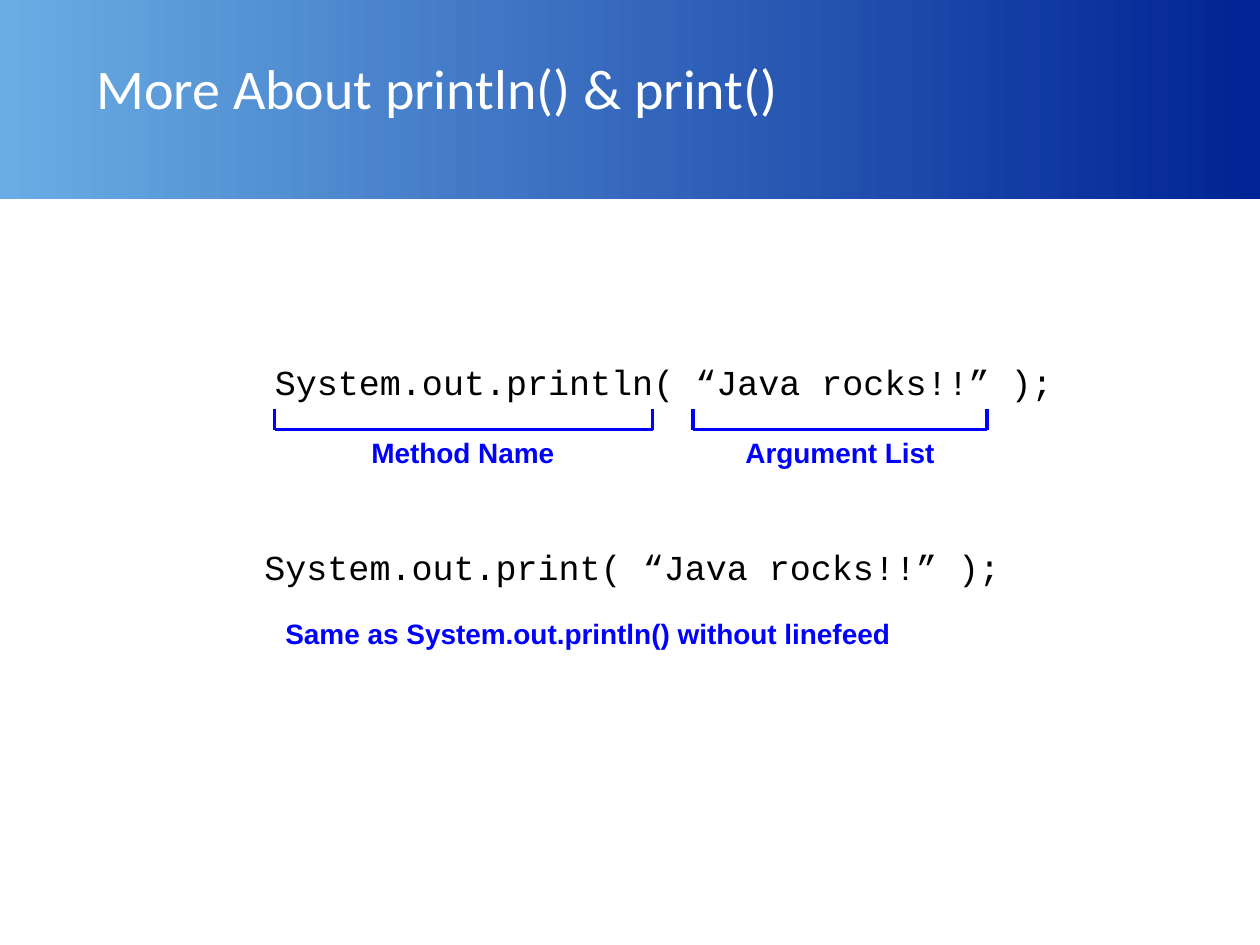
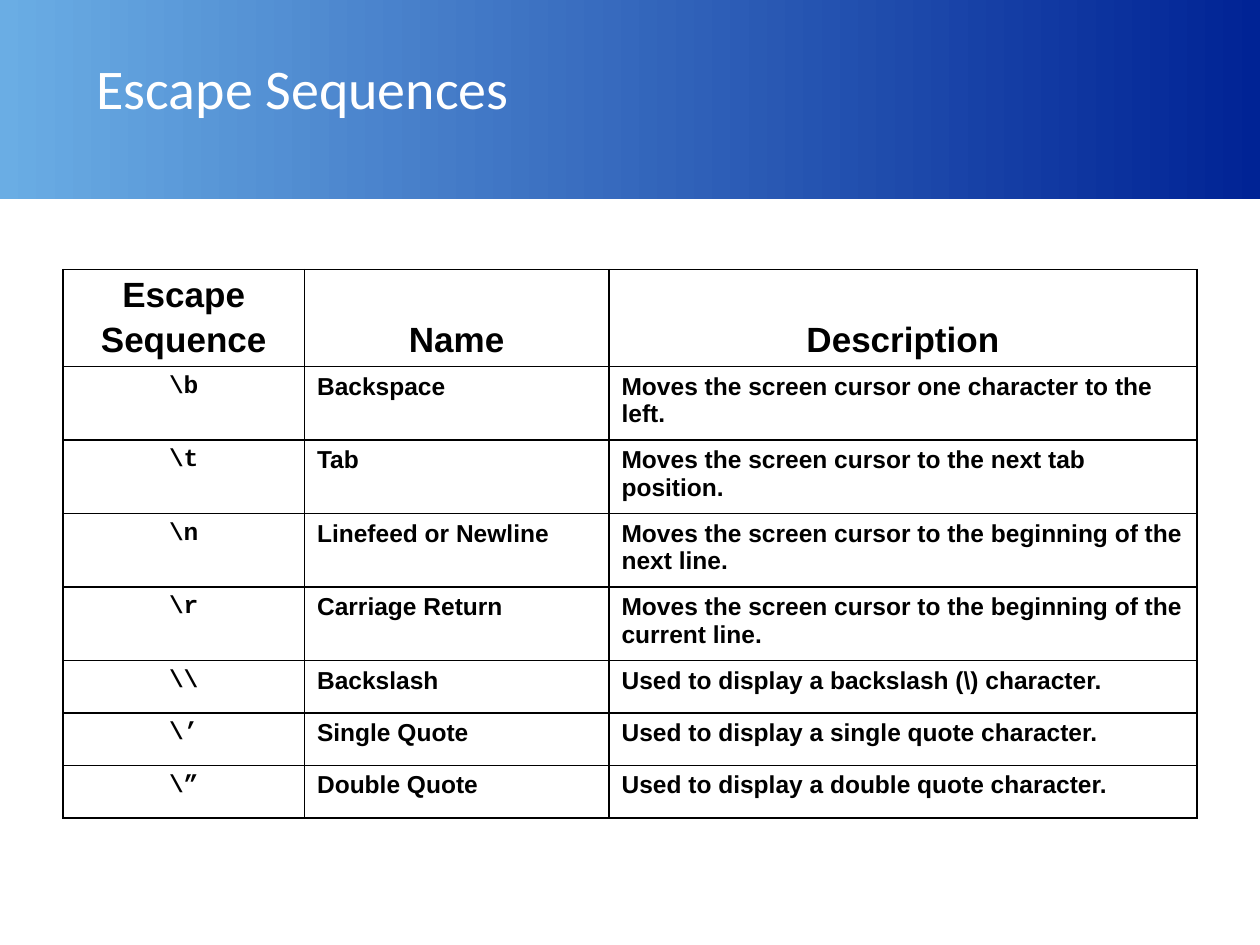
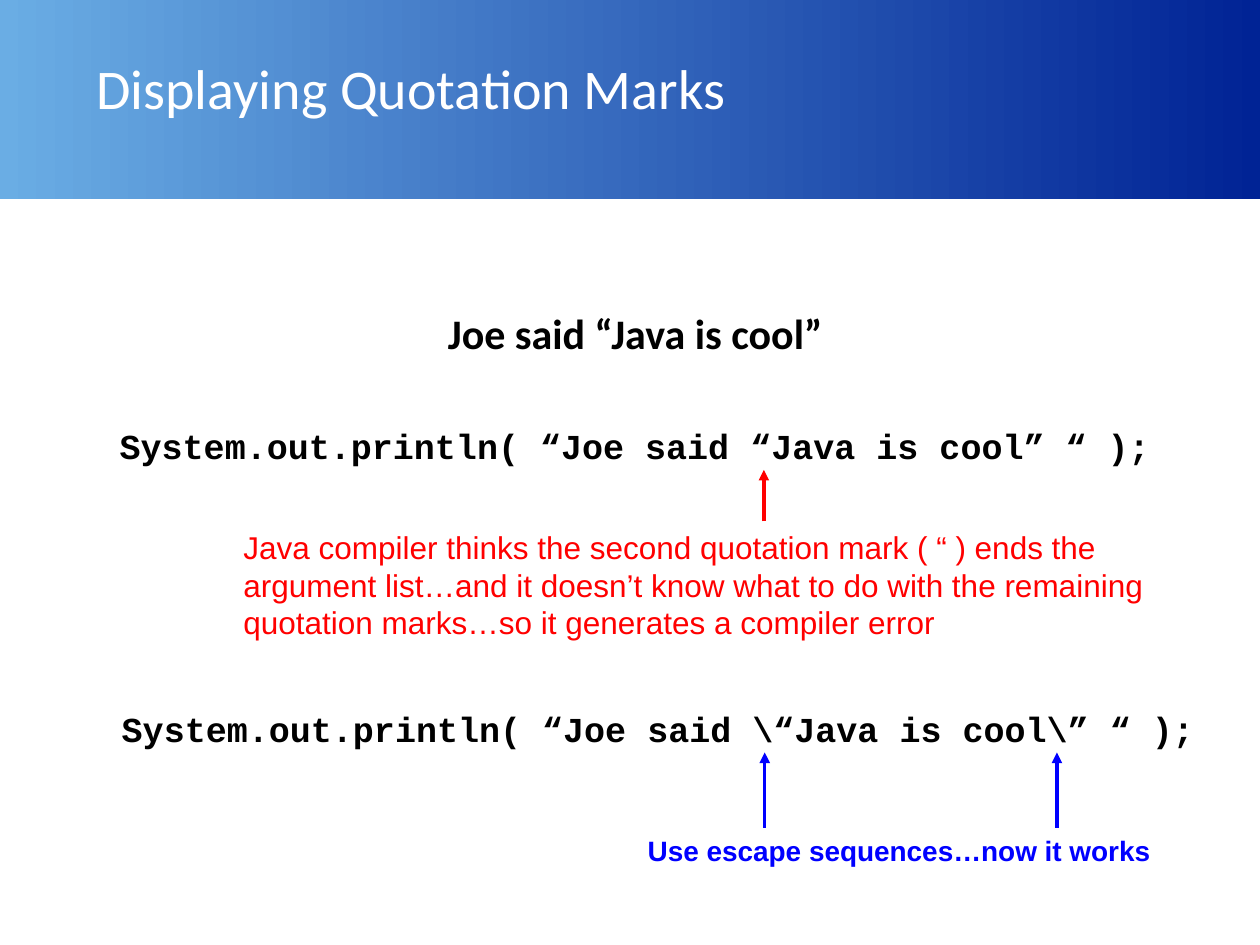
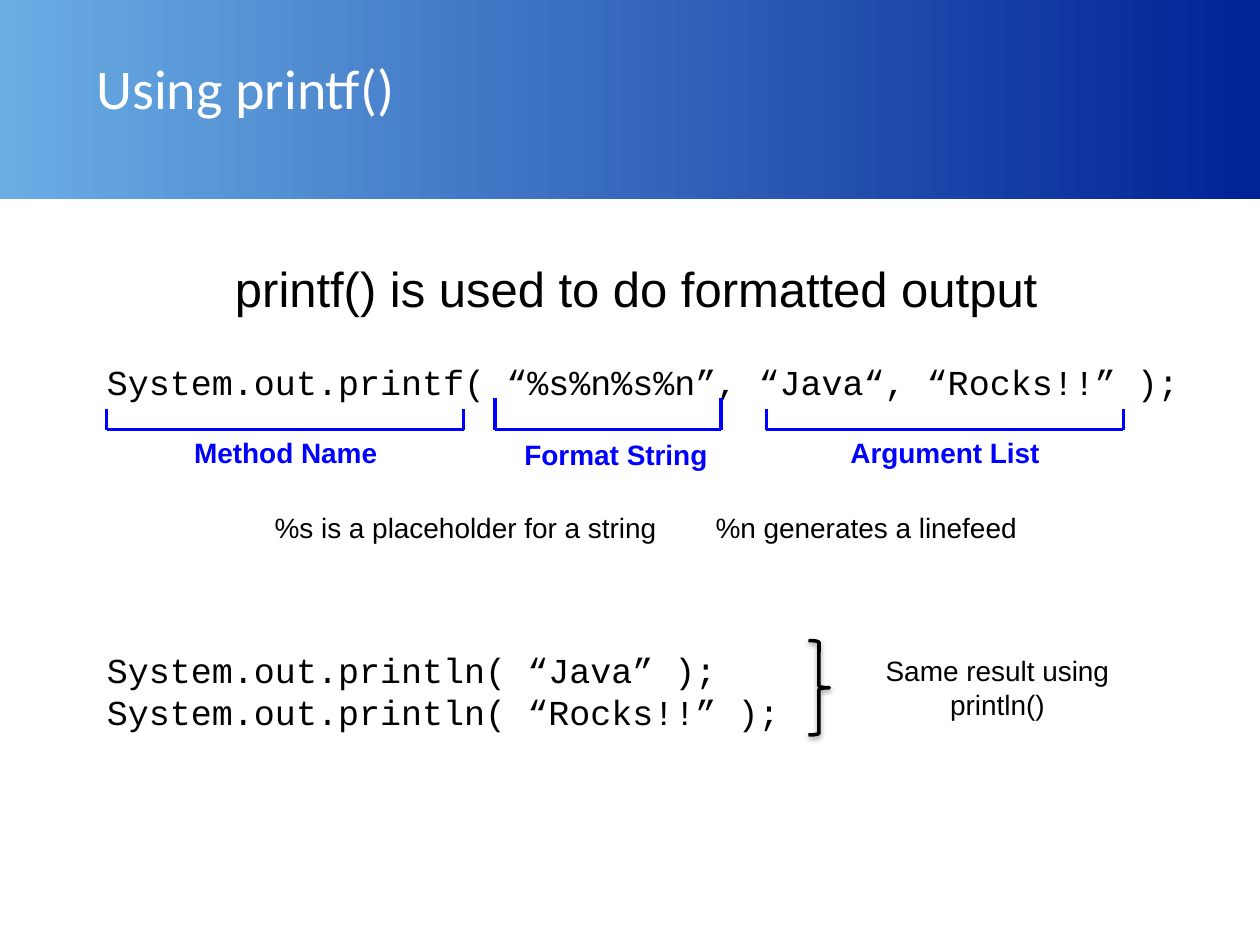
"""Build four slides on printing text in Java."""
from lxml.etree import SubElement
from pptx import Presentation
from pptx.dml.color import RGBColor
from pptx.enum.shapes import MSO_CONNECTOR, MSO_SHAPE
from pptx.enum.text import MSO_ANCHOR, MSO_AUTO_SIZE, PP_ALIGN
from pptx.oxml.ns import qn
from pptx.util import Pt

COLORS = {
    "band_start": "6AADE4",
    "band_end": "002395",
    "white": "FFFFFF",
    "black": "000000",
    "blue": "0000FF",
    "red": "FF0000",
}
STYLES = {
    "title": ("Calibri", 32, "white", False),
    "quote": ("Calibri", 24, "black", True),
    "code": ("Courier New", 20, "black", False),
    "bold code": ("Courier New", 20, "black", True),
    "label": ("Arial", 16, "blue", True),
    "note": ("Arial", 16, "black", False),
    "error": ("Arial", 18, "red", False),
    "lead": ("Arial", 28, "black", False),
    "table header": ("Arial", 20, "black", True),
    "table text": ("Arial", 14, "black", True),
    "table code": ("Courier New", 14, "black", True),
}
LEFT, CENTER = PP_ALIGN.LEFT, PP_ALIGN.CENTER
LINE_WIDTH = 2
BRACKET_BOTTOM = 245.5

SLIDES = [
    {
        "title": "More About println() & print()",
        "texts": [
            ("System.out.println( “Java rocks!!” );", "code", LEFT, (150, 202.5, 499, 31)),
            ("System.out.print( “Java rocks!!” );", "code", LEFT, (144, 308, 505, 31)),
            ("Same as System.out.println() without linefeed", "label", LEFT, (156, 348.5, 414, 29)),
        ],
        "brackets": [
            ("Method Name", 157, 373, 12, (168.5, 245.5, 192, 29)),
            ("Argument List", 396, 564, 12, (396, 245.5, 168, 29)),
        ],
    },
    {
        "title": "Escape Sequences",
        "table": {
            "place": (36, 154, 648, 313.5),
            "columns": (138, 174, 336),
            "heights": (55.5, 42, 42, 42, 42, 30, 30, 30),
            "rows": [
                ("Escape\nSequence", "Name", "Description"),
                ("\\b", "Backspace", "Moves the screen cursor one character to the left."),
                ("\\t", "Tab", "Moves the screen cursor to the next tab position."),
                ("\\n", "Linefeed or Newline",
                 "Moves the screen cursor to the beginning of the next line."),
                ("\\r", "Carriage Return",
                 "Moves the screen cursor to the beginning of the current line."),
                ("\\\\", "Backslash", "Used to display a backslash (\\) character."),
                ("\\’", "Single Quote", "Used to display a single quote character."),
                ("\\”", "Double Quote", "Used to display a double quote character."),
            ],
        },
    },
    {
        "title": "Displaying Quotation Marks",
        "texts": [
            ("Joe said “Java is cool”", "quote", CENTER, (42, 172, 642, 36.5)),
            ("System.out.println( “Joe said “Java is cool” “ );", "bold code", CENTER,
             (30, 239, 666, 31.5)),
            ("Java compiler thinks the second quotation mark ( “ ) ends the argument list…"
             "and it doesn’t know what to do with the remaining quotation marks…"
             "so it generates a compiler error", "error", LEFT, (132, 298, 570, 73)),
            ("System.out.println( “Joe said \\“Java is cool\\” “ );", "bold code", LEFT,
             (62.5, 401, 639.5, 31.5)),
            ("Use escape sequences…now it works", "label", LEFT, (363, 473, 350, 29)),
        ],
        "arrows": [
            (436.5, 298, 268.5, "red"),
            (437, 473, 430, "blue"),
            (604, 473, 430, "blue"),
        ],
    },
    {
        "title": "Using printf()",
        "texts": [
            ("System.out.printf( “%s%n%s%n”, “Java“, “Rocks!!” );", "code", LEFT,
             (54, 202.5, 642, 31.5)),
            ("printf() is used to do formatted output", "lead", CENTER, (61, 144, 605, 41)),
            ("System.out.println( “Java” );\nSystem.out.println( “Rocks!!” );", "code", LEFT,
             (54, 367, 642, 53)),
            ("%s is a placeholder for a string\t%n generates a linefeed", "note", CENTER,
             (66, 288, 606, 26.5)),
            ("Same result using println()", "note", CENTER, (480, 370, 180, 46)),
        ],
        "brackets": [
            ("Method Name", 61, 265, 12, (72.5, 245.5, 181.5, 29)),
            ("Argument List", 438, 642, 12, (438, 245.5, 204, 29)),
            ("Format String", 283, 412, 18, (286, 246.5, 132, 26.5)),
        ],
        "brace": (462, 366, 12, 54),
    },
]


def points(values):
    return [Pt(value) for value in values]


def color(name):
    return RGBColor.from_string(COLORS[name])


def write(frame, text, style, align, gap=0):
    font_name, size, color_name, bold = STYLES[style]
    for index, line in enumerate(text.split("\n")):
        paragraph = frame.add_paragraph() if index else frame.paragraphs[0]
        paragraph.text = line
        paragraph.alignment = align
        if index and gap:
            paragraph.space_before = Pt(gap)
        font = paragraph.font
        font.name, font.size, font.bold = font_name, Pt(size), bold
        font.color.rgb = color(color_name)


def add_text(shapes, text, style, align, place):
    frame = shapes.add_textbox(*points(place)).text_frame
    frame.word_wrap = True
    frame.auto_size = MSO_AUTO_SIZE.SHAPE_TO_FIT_TEXT
    write(frame, text, style, align)
    return frame


def add_title(slide, title):
    band = slide.shapes.add_shape(MSO_SHAPE.RECTANGLE, *points((0, 0, 720, 113.5)))
    band.shadow.inherit = False
    band.line.fill.background()
    band.fill.gradient()
    band.fill.gradient_angle = 0
    for stop, name, position in zip(band.fill.gradient_stops, ("band_start", "band_end"), (0, 1)):
        stop.color.rgb = color(name)
        stop.position = position
    frame = add_text(slide.shapes, title, "title", LEFT, (48, 27, 648, 45))
    frame.auto_size = MSO_AUTO_SIZE.NONE
    frame.vertical_anchor = MSO_ANCHOR.MIDDLE


def add_line(shapes, start, end, color_name):
    connector = shapes.add_connector(MSO_CONNECTOR.STRAIGHT, *points(start + end))
    connector.line.color.rgb = color(color_name)
    connector.line.width = Pt(LINE_WIDTH)
    SubElement(connector._element.spPr, qn("a:effectLst"))
    return connector


def add_bracket(slide, label, left, right, depth, label_place):
    shapes = slide.shapes.add_group_shape().shapes
    top = BRACKET_BOTTOM - depth
    corners = [(left, top), (left, BRACKET_BOTTOM), (right, BRACKET_BOTTOM), (right, top)]
    for start, end in zip(corners, corners[1:]):
        add_line(shapes, start, end, "blue")
    add_text(shapes, label, "label", CENTER, label_place)


def add_arrow(slide, x, bottom, top, color_name):
    connector = add_line(slide.shapes, (x, bottom), (x, top), color_name)
    SubElement(connector.line._get_or_add_ln(), qn("a:tailEnd"), type="triangle")


def add_brace(slide, place):
    brace = slide.shapes.add_shape(MSO_SHAPE.RIGHT_BRACE, *points(place))
    brace.fill.background()
    brace.line.color.rgb = color("black")
    brace.line.width = Pt(LINE_WIDTH)
    brace.shadow.inherit = False
    effects = brace._element.spPr.find(qn("a:effectLst"))
    shadow = SubElement(effects, qn("a:outerShdw"), blurRad=str(Pt(3.1)), dist=str(Pt(1.6)),
                        dir="5400000", rotWithShape="0")
    shade = SubElement(shadow, qn("a:srgbClr"), val=COLORS["black"])
    SubElement(shade, qn("a:alpha"), val="38000")


def add_borders(cell):
    properties = cell._tc.get_or_add_tcPr()
    for side in ("lnL", "lnR", "lnT", "lnB"):
        border = SubElement(properties, qn(f"a:{side}"), w=str(Pt(1)))
        fill = SubElement(border, qn("a:solidFill"))
        SubElement(fill, qn("a:srgbClr"), val=COLORS["black"])


def add_table(slide, place, columns, heights, rows):
    table = slide.shapes.add_table(len(rows), len(columns), *points(place)).table
    table.horz_banding = False
    for column, width in zip(table.columns, columns):
        column.width = Pt(width)
    for row_index, (row, height, texts) in enumerate(zip(table.rows, heights, rows)):
        row.height = Pt(height)
        for column_index, (cell, text) in enumerate(zip(row.cells, texts)):
            header, code = row_index == 0, column_index == 0
            style = "table header" if header else "table code" if code else "table text"
            write(cell.text_frame, text, style, CENTER if header or code else LEFT, gap=3.5)
            cell.vertical_anchor = MSO_ANCHOR.BOTTOM if header else MSO_ANCHOR.TOP
            add_borders(cell)
            cell.fill.background()


def main():
    presentation = Presentation()
    presentation.slide_width, presentation.slide_height = Pt(720), Pt(540)
    for content in SLIDES:
        slide = presentation.slides.add_slide(presentation.slide_layouts[6])
        add_title(slide, content["title"])
        for text in content.get("texts", []):
            add_text(slide.shapes, *text)
        for bracket in content.get("brackets", []):
            add_bracket(slide, *bracket)
        for arrow in content.get("arrows", []):
            add_arrow(slide, *arrow)
        if "table" in content:
            add_table(slide, **content["table"])
        if "brace" in content:
            add_brace(slide, content["brace"])
    presentation.save("out.pptx")


if __name__ == "__main__":
    main()
